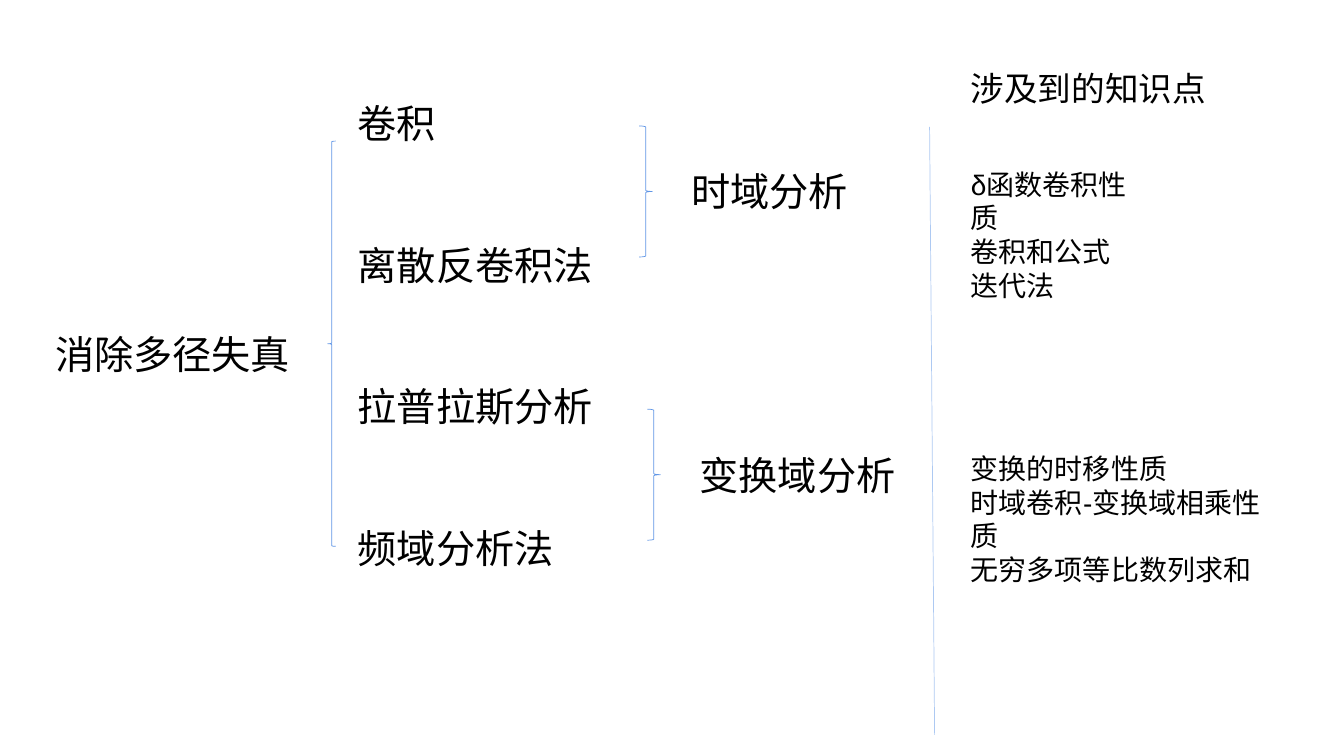
from lxml.etree import SubElement
from pptx import Presentation
from pptx.dml.color import RGBColor
from pptx.enum.shapes import MSO_CONNECTOR, MSO_SHAPE
from pptx.enum.text import MSO_AUTO_SIZE
from pptx.oxml.ns import qn
from pptx.util import Inches, Pt


def color(hex_text):
    return RGBColor.from_string(hex_text)


class OutlineSlide:
    font_name = "Arial"
    text_color = "000000"
    line_color = "6096E6"
    line_width = 0.5

    def __init__(self, presentation):
        self.slide = presentation.slides.add_slide(presentation.slide_layouts[6])

    def text(self, left, top, width, height, lines, size=28, wrap=False, gap=0):
        box = self.slide.shapes.add_textbox(
            Inches(left), Inches(top), Inches(width), Inches(height))
        frame = box.text_frame
        frame.text = "\n".join(lines)
        frame.word_wrap = wrap
        frame.auto_size = MSO_AUTO_SIZE.SHAPE_TO_FIT_TEXT
        for index, paragraph in enumerate(frame.paragraphs):
            paragraph.font.name = self.font_name
            paragraph.font.size = Pt(size)
            paragraph.font.color.rgb = color(self.text_color)
            paragraph.space_before = Pt(gap if index else 0)

    def style_line(self, line):
        line.color.rgb = color(self.line_color)
        line.width = Pt(self.line_width)

    def brace(self, kind, left, top, width, height):
        shape = self.slide.shapes.add_shape(
            kind, Inches(left), Inches(top), Inches(width), Inches(height))
        shape.shadow.inherit = False
        shape.fill.background()
        self.style_line(shape.line)

    def divider(self, x1, y1, x2, y2, opacity):
        connector = self.slide.shapes.add_connector(
            MSO_CONNECTOR.STRAIGHT, Inches(x1), Inches(y1), Inches(x2), Inches(y2))
        self.style_line(connector.line)
        properties = connector._element.spPr
        line_color = properties.find(".//" + qn("a:srgbClr"))
        SubElement(line_color, qn("a:alpha"), val=str(opacity * 1000))
        SubElement(properties, qn("a:effectLst"))


def main():
    presentation = Presentation()
    presentation.slide_width = Inches(13.33)
    presentation.slide_height = Inches(7.5)
    outline = OutlineSlide(presentation)

    methods = ["卷积", "离散反卷积法", "拉普拉斯分析", "频域分析法"]
    outline.text(3.45, 0.94, 2.78, 4.81, methods, wrap=True, gap=67.4)
    outline.text(0.45, 3.23, 2.53, 0.57, ["消除多径失真"])
    outline.brace(MSO_SHAPE.LEFT_BRACE, 3.25, 1.4, 0.08, 4.02)

    domains = [
        (6.34, 1.25, 1.61, 1.76, "时域分析", 2.02, 1.45,
         ["δ函数卷积性质", "卷积和公式", "迭代法"]),
        (6.42, 4.06, 4.43, 2.14, "变换域分析", 3.35, 1.11,
         ["变换的时移性质", "时域卷积-变换域相乘性质", "无穷多项等比数列求和"]),
    ]
    for left, brace_top, top, width, name, topics_width, topics_height, topics in domains:
        outline.brace(MSO_SHAPE.RIGHT_BRACE, left, brace_top, 0.13, 1.3)
        outline.text(left + 0.42, top, width, 0.57, [name])
        outline.text(9.53, top, topics_width, topics_height, topics, size=20, wrap=True)

    outline.text(9.53, 0.62, 2.53, 0.5, ["涉及到的知识点"], size=24)
    outline.divider(9.22, 1.26, 9.27, 7.29, opacity=51)
    presentation.save("out.pptx")


if __name__ == "__main__":
    main()
